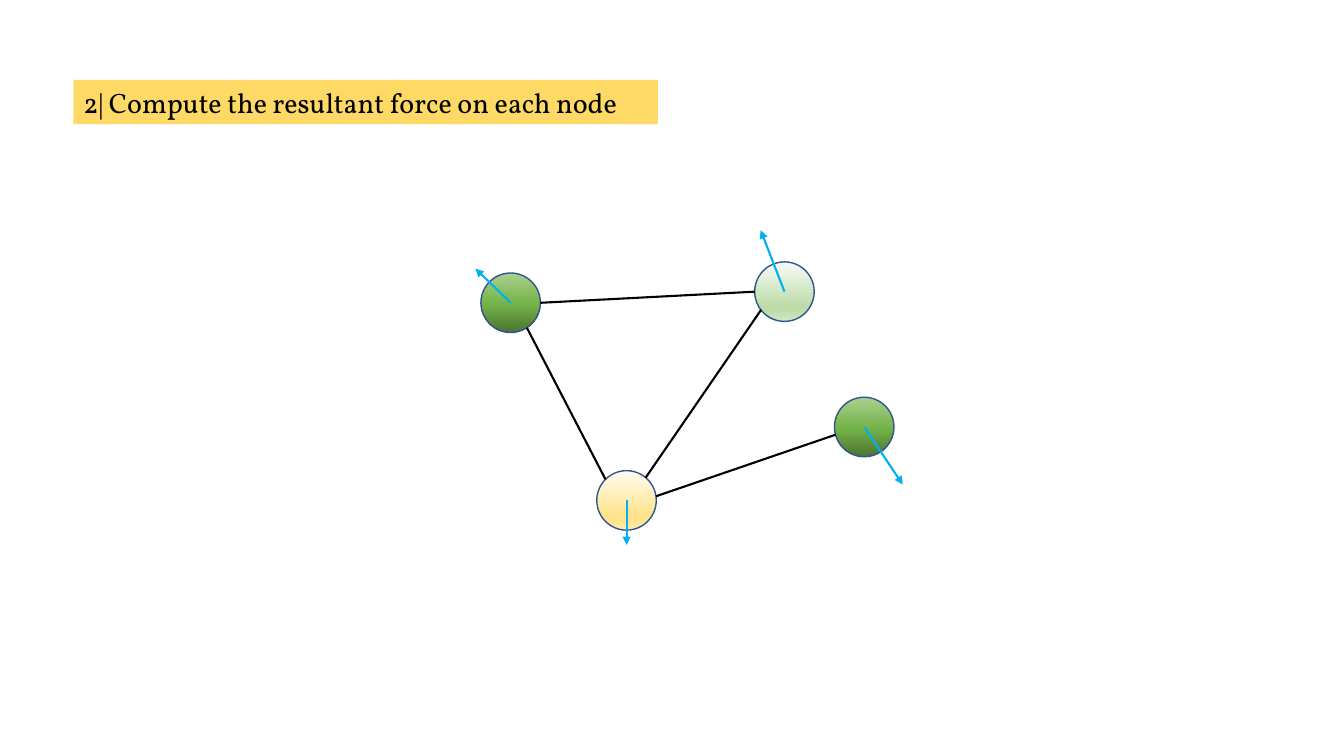
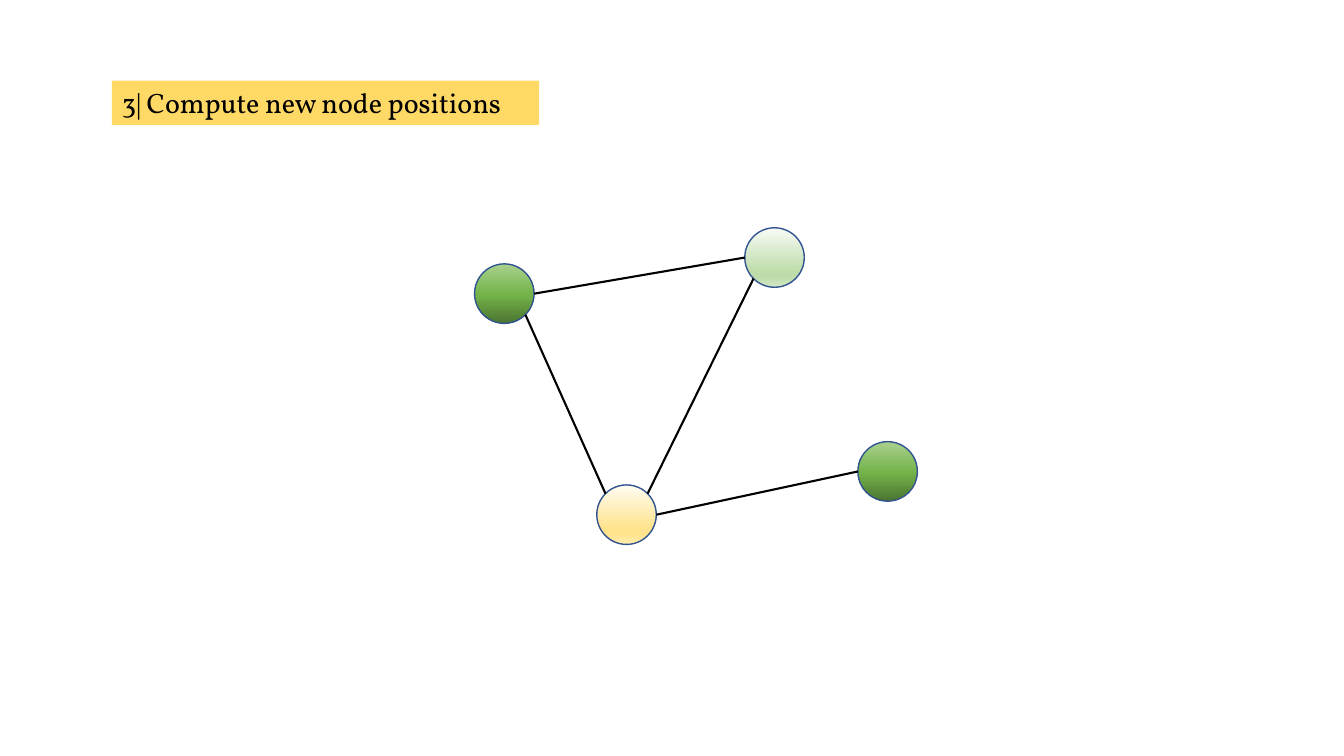
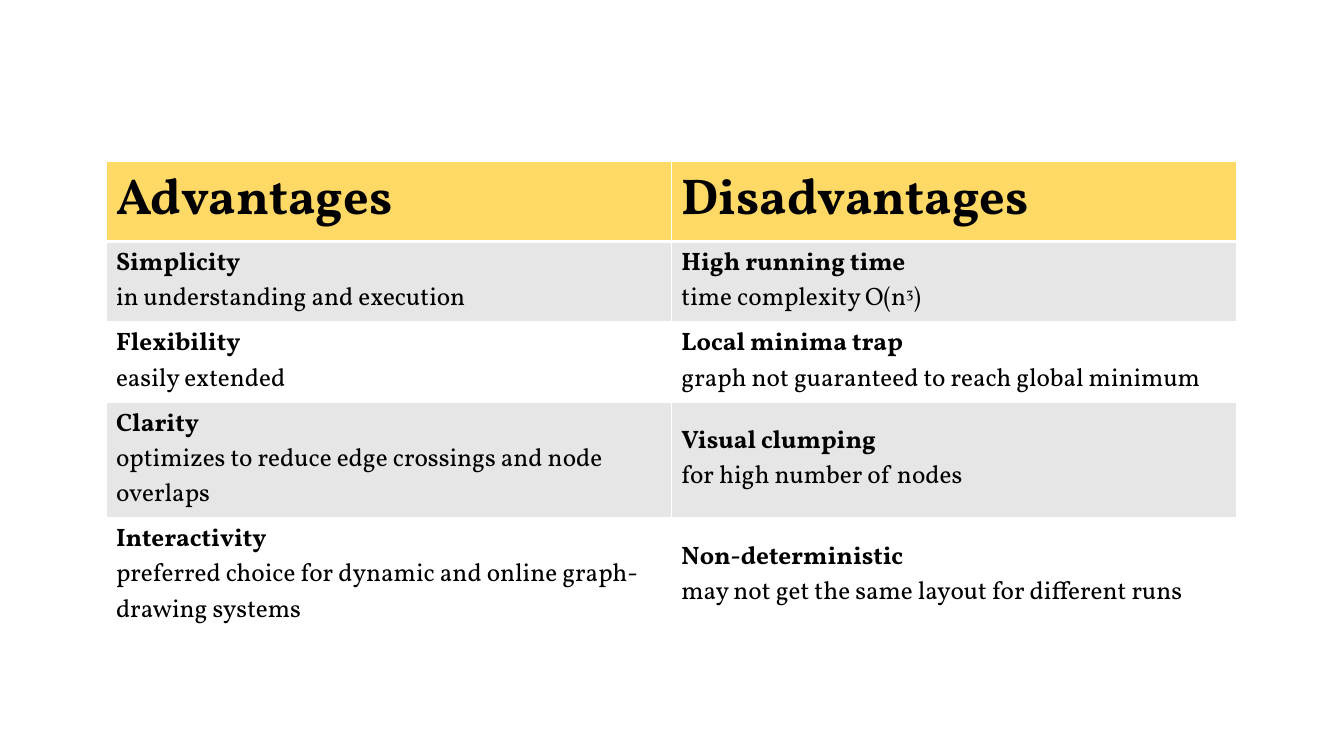
from math import cos, radians, sin

from lxml import etree
from pptx import Presentation
from pptx.dml.color import RGBColor
from pptx.enum.shapes import MSO_CONNECTOR, MSO_SHAPE
from pptx.enum.text import MSO_ANCHOR, MSO_AUTO_SIZE, PP_ALIGN
from pptx.oxml.ns import qn
from pptx.util import Cm, Pt

ELLIPSE = MSO_SHAPE.OVAL
STRAIGHT = MSO_CONNECTOR.STRAIGHT
MIDDLE = MSO_ANCHOR.MIDDLE
NO_AUTOFIT = MSO_AUTO_SIZE.NONE
LEFT = PP_ALIGN.LEFT

FONT = "Vollkorn"
COLORS = {
    "text": "000000",
    "band": "FFD966",
    "stripe": "E7E6E6",
    "border": "FFFFFF",
    "outline": "325491",
    "edge": "000000",
    "force": "00B0F0",
}
GRADIENTS = {
    "green": [(0, "A9D18E"), (52, "74B349"), (100, "4B7430")],
    "yellow": [(0, "FFFCF2"), (74, "FFE38C"), (83, "FFE38C"), (100, "FFECB2")],
    "pale": [(0, "F8FBF6"), (74, "BEDCAA"), (83, "BEDCAA"), (100, "D4E8C6")],
}
RADIUS = 0.75
NODE_FILLS = ["green", "yellow", "pale", "green"]
EDGES = [(0, 2), (0, 1), (2, 1), (3, 1)]

GRAPH_SLIDES = [
    {
        "title": "2| Compute the resultant force on each node",
        "band": (1.85, 2.01, 14.73),
        "centers": [(12.87, 7.63), (15.79, 12.61), (19.77, 7.35), (21.78, 10.76)],
        "angles": [(0, 180), (57, 225), (142, -50), (165, -8)],
        "forces": [(-0.89, -0.86), (0, 1.12), (-0.6, -1.55), (0.97, 1.45)],
    },
    {
        "title": "3| Compute new node positions",
        "band": (2.82, 2.03, 10.77),
        "centers": [(12.71, 7.4), (15.79, 12.97), (19.52, 6.49), (22.37, 11.88)],
        "angles": [(0, 180), (45, 225), (135, -45), (180, 0)],
        "forces": [],
    },
]

ROW_HEIGHTS = [1.57, 1.98, 1.98, 2.49, 2.82]
ROWS = [
    [("Advantages",), ("Disadvantages",)],
    [("Simplicity", "in understanding and execution"),
     ("High running time", "time complexity O(n^3^)")],
    [("Flexibility", "easily extended"),
     ("Local minima trap", "graph not guaranteed to reach global minimum")],
    [("Clarity", "optimizes to reduce edge crossings and node overlaps"),
     ("Visual clumping", "for high number of nodes")],
    [("Interactivity", "preferred choice for dynamic and online graph-drawing systems"),
     ("Non-deterministic", "may not get the same layout for different runs")],
]


def style_run(r, size, bold=False):
    r.font.name = FONT
    r.font.size = Pt(size)
    r.font.bold = bold
    r.font.color.rgb = RGBColor.from_string(COLORS["text"])


def add_line(s, start, end, color, arrow=False):
    line = s.shapes.add_connector(STRAIGHT, *[Cm(v) for v in (*start, *end)])
    line.line.color.rgb = RGBColor.from_string(COLORS[color])
    line.line.width = Pt(1.5)
    if arrow:
        etree.SubElement(line.line._get_or_add_ln(), qn("a:tailEnd"), type="triangle")
    etree.SubElement(line._element.spPr, qn("a:effectLst"))


prs = Presentation()
prs.slide_width = Cm(33.87)
prs.slide_height = Cm(19.05)
title_only, blank = prs.slide_layouts[5], prs.slide_layouts[6]

for graph in GRAPH_SLIDES:
    s = prs.slides.add_slide(title_only)
    title = s.shapes.title
    left, top, width = graph["band"]
    title.left, title.top, title.width, title.height = Cm(left), Cm(top), Cm(width), Cm(1.12)
    title.fill.solid()
    title.fill.fore_color.rgb = RGBColor.from_string(COLORS["band"])
    tf = title.text_frame
    tf.text = graph["title"]
    tf.word_wrap = True
    tf.auto_size = NO_AUTOFIT
    tf.vertical_anchor = MIDDLE
    tf.paragraphs[0].alignment = LEFT
    style_run(tf.paragraphs[0].runs[0], 20)

    centers = graph["centers"]
    for (x, y), name in zip(centers, NODE_FILLS):
        node = s.shapes.add_shape(ELLIPSE, Cm(x - RADIUS), Cm(y - RADIUS),
                                  Cm(2 * RADIUS), Cm(2 * RADIUS))
        node.shadow.inherit = False
        node.line.color.rgb = RGBColor.from_string(COLORS["outline"])
        node.line.width = Pt(1)
        node.fill.gradient()
        node.fill.gradient_angle = 270
        stops = node._element.spPr.find(qn("a:gradFill")).find(qn("a:gsLst"))
        for stop in list(stops):
            stops.remove(stop)
        for position, color in GRADIENTS[name]:
            stop = etree.SubElement(stops, qn("a:gs"), pos=str(position * 1000))
            etree.SubElement(stop, qn("a:srgbClr"), val=color)

    for ends, angles in zip(EDGES, graph["angles"]):
        start, end = [
            (centers[i][0] + RADIUS * cos(radians(a)), centers[i][1] + RADIUS * sin(radians(a)))
            for i, a in zip(ends, angles)
        ]
        add_line(s, start, end, "edge")

    for (x, y), (dx, dy) in zip(centers, graph["forces"]):
        add_line(s, (x, y), (x + dx, y + dy), "force", arrow=True)

s = prs.slides.add_slide(blank)
table = s.shapes.add_table(len(ROWS), 2, Cm(2.67), Cm(4.06), Cm(28.5),
                           Cm(sum(ROW_HEIGHTS))).table
for column in table.columns:
    column.width = Cm(14.25)

for i, (row, height) in enumerate(zip(ROWS, ROW_HEIGHTS)):
    table.rows[i].height = Cm(height)
    for j, lines in enumerate(row):
        cell = table.cell(i, j)
        tcPr = cell._tc.get_or_add_tcPr()
        for side in ("L", "R", "T", "B"):
            thick = (i, side) in [(0, "B"), (1, "T")]
            ln = etree.SubElement(tcPr, qn("a:ln" + side), w=str(Pt(3 if thick else 1)))
            fill = etree.SubElement(ln, qn("a:solidFill"))
            etree.SubElement(fill, qn("a:srgbClr"), val=COLORS["border"])
        if i == 0 or i % 2:
            cell.fill.solid()
            cell.fill.fore_color.rgb = RGBColor.from_string(COLORS["stripe" if i else "band"])
        else:
            cell.fill.background()
        if i:
            cell.vertical_anchor = MIDDLE
        tf = cell.text_frame
        for k, line in enumerate(lines):
            p = tf.add_paragraph() if k else tf.paragraphs[0]
            for n, part in enumerate(line.split("^")):
                r = p.add_run()
                r.text = part
                style_run(r, 18 if i else 36, bold=k == 0)
                if n % 2:
                    r._r.get_or_add_rPr().set("baseline", "30000")

prs.save("out.pptx")
